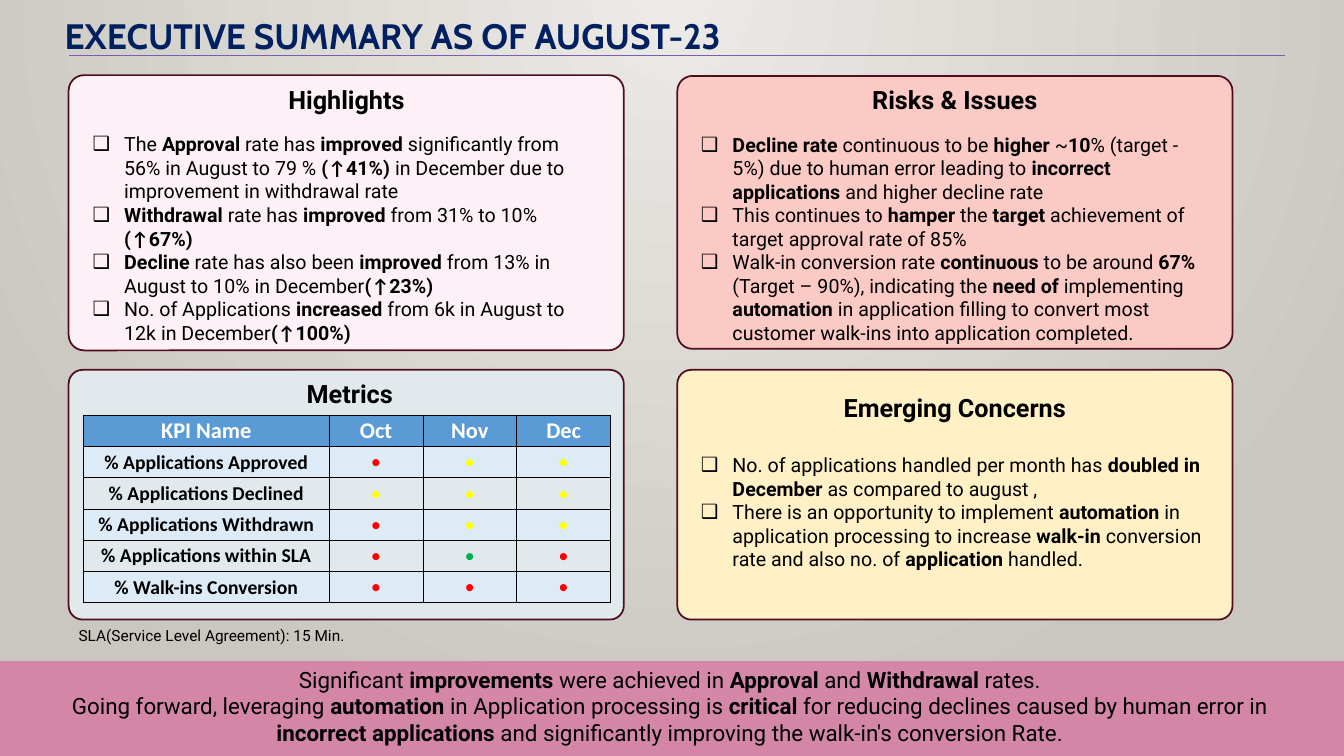
from dataclasses import dataclass

from lxml import etree
from pptx import Presentation
from pptx.dml.color import RGBColor
from pptx.enum.shapes import MSO_CONNECTOR, MSO_SHAPE
from pptx.enum.text import MSO_ANCHOR, MSO_AUTO_SIZE, PP_ALIGN
from pptx.oxml.ns import qn
from pptx.util import Pt

ROUND, RECT = MSO_SHAPE.ROUNDED_RECTANGLE, MSO_SHAPE.RECTANGLE
LINE = MSO_CONNECTOR.STRAIGHT
LEFT, MID = PP_ALIGN.LEFT, PP_ALIGN.CENTER
TOP, CENTER = MSO_ANCHOR.TOP, MSO_ANCHOR.MIDDLE
FIXED = MSO_AUTO_SIZE.NONE


@dataclass
class Theme:
    glow: str = "ECEAE7"
    shade: str = "CAC7C1"
    navy: str = "002060"
    ink: str = "000000"
    white: str = "FFFFFF"
    rule: str = "795FAF"
    edge: str = "500D1D"
    rose: str = "FDF1F7"
    coral: str = "FBCAC5"
    cream: str = "FFF1C5"
    mist: str = "E1E9EC"
    pink: str = "DE478E"
    blue: str = "5B9BD5"
    band: str = "DDEBF7"
    red: str = "FF0000"
    yellow: str = "FFFF00"
    green: str = "00B050"
    title: float = 25.2
    head: int = 18
    text: int = 14
    large: int = 16
    small: int = 11
    title_font: str = "Cabin"
    font: str = "Roboto"
    grid_font: str = "Calibri"


class Board:
    def __init__(self, slide, theme):
        self.slide, self.theme = slide, theme

    def style(self, run, size, bold=False, color=None, font=None):
        run.font.size, run.font.bold = Pt(size), bold
        run.font.name = font or self.theme.font
        run.font.color.rgb = RGBColor.from_string(color or self.theme.ink)

    def backdrop(self):
        fill = self.slide.background.fill
        fill.gradient()
        for stop, color in zip(fill.gradient_stops, (self.theme.glow, self.theme.shade)):
            stop.color.rgb = RGBColor.from_string(color)
        lin = self.slide.element.find(".//" + qn("a:lin"))
        ring = etree.Element(qn("a:path"), path="circle")
        etree.SubElement(ring, qn("a:fillToRect"), l="43000", t="0", r="43000", b="100000")
        lin.getparent().replace(lin, ring)

    def shape(self, kind, box, color, edge=None, alpha=None):
        item = self.slide.shapes.add_shape(kind, *map(Pt, box))
        item.shadow.inherit = False
        item.fill.solid()
        item.fill.fore_color.rgb = RGBColor.from_string(color)
        if kind == ROUND:
            item.adjustments[0] = 0.056
        if edge:
            item.line.color.rgb = RGBColor.from_string(edge)
            item.line.width = Pt(1.25)
        else:
            item.line.fill.background()
        if alpha:
            tone = item.element.spPr.find(".//" + qn("a:srgbClr"))
            etree.SubElement(tone, qn("a:alpha"), val=str(alpha * 1000))

    def rule(self, left, right, top):
        line = self.slide.shapes.add_connector(LINE, Pt(left), Pt(top), Pt(right), Pt(top))
        line.line.color.rgb = RGBColor.from_string(self.theme.rule)
        line.line.width = Pt(0.75)
        etree.SubElement(line.element.spPr, qn("a:effectLst"))

    def place(self, index, box, anchor=TOP):
        """Move a placeholder into its box, in front of the panels."""
        item = self.slide.placeholders[index]
        item.left, item.top, item.width, item.height = map(Pt, box)
        item.element.getparent().append(item.element)
        frame = item.text_frame
        frame.word_wrap, frame.auto_size, frame.vertical_anchor = True, FIXED, anchor
        return frame

    def title(self, text, box):
        frame = self.place(0, box, CENTER)
        frame.text = text
        frame.paragraphs[0].alignment = LEFT
        self.style(frame.paragraphs[0].runs[0], self.theme.title, True,
                   self.theme.navy, self.theme.title_font)

    def label(self, text, box, size, bold=False):
        frame = self.slide.shapes.add_textbox(*map(Pt, box)).text_frame
        frame.word_wrap = True
        frame.text = text
        self.style(frame.paragraphs[0].runs[0], size, bold)

    def para(self, para, text, size, mark=None, gap=0):
        """Write a paragraph; stars enclose bold words."""
        para.alignment = LEFT if mark else MID
        para.space_before, para.space_after = Pt(0), Pt(gap)
        props = para._p.get_or_add_pPr()
        inset = Pt(22.5) if mark else 0
        props.set("marL", str(inset))
        props.set("indent", str(-inset))
        if mark:
            etree.SubElement(props, qn("a:buChar"), char=mark)
        else:
            etree.SubElement(props, qn("a:buNone"))
        for i, part in enumerate(text.split("*")):
            for piece in part.replace("↑", "|↑|").split("|"):
                if piece:
                    run = para.add_run()
                    run.text = piece
                    font = self.theme.grid_font if piece == "↑" else None
                    self.style(run, size, i % 2 == 1, font=font)

    def body(self, index, box, lines, head=None, gap=0):
        frame = self.place(index, box)
        size = self.theme.text if head else self.theme.large
        rows = [(line, size, "❑" if head else None) for line in lines]
        if head:
            self.para(frame.paragraphs[0], f"*{head}*", self.theme.head, gap=gap)
        for i, row in enumerate(rows):
            first = i == 0 and not head
            self.para(frame.paragraphs[0] if first else frame.add_paragraph(), *row)

    def cell(self, cell, text, size, bold, color, fill):
        cell.margin_left = cell.margin_right = cell.margin_top = Pt(0.7)
        cell.margin_bottom = 0
        cell.vertical_anchor = CENTER
        cell.text = text
        para = cell.text_frame.paragraphs[0]
        para.alignment = MID
        self.style(para.runs[0], size, bold, color, self.theme.grid_font)
        props = cell._tc.get_or_add_tcPr()
        for side in ("a:lnL", "a:lnR", "a:lnT", "a:lnB"):
            line = etree.SubElement(props, qn(side), w=str(Pt(0.5)))
            paint = etree.SubElement(line, qn("a:solidFill"))
            etree.SubElement(paint, qn("a:srgbClr"), val=self.theme.ink)
        if fill:
            cell.fill.solid()
            cell.fill.fore_color.rgb = RGBColor.from_string(fill)
        else:
            cell.fill.background()

    def grid(self, box, widths, heads, rows):
        theme = self.theme
        grid = self.slide.shapes.add_table(len(rows) + 1, len(heads), *map(Pt, box)).table
        for col, width in zip(grid.columns, widths):
            col.width = Pt(width)
        for row in grid.rows:
            row.height = Pt(box[3] / (len(rows) + 1))
        for c, head in enumerate(heads):
            self.cell(grid.cell(0, c), head, theme.large, True, theme.white, theme.blue)
        tones = {"R": theme.red, "Y": theme.yellow, "G": theme.green}
        for r, (name, marks) in enumerate(rows, 1):
            fill = theme.band if r % 2 else None
            self.cell(grid.cell(r, 0), name, theme.text, True, theme.ink, fill)
            for c, mark in enumerate(marks, 1):
                self.cell(grid.cell(r, c), "●", theme.small, False, tones[mark], fill)


HIGHLIGHTS = [
    "The *Approval* rate has *improved* significantly from 56% in August to 79 % "
    "*(↑41%)* in December due to improvement in withdrawal rate",
    "*Withdrawal* rate has* improved* from 31% to 10% *(↑67%)*",
    "*Decline* rate has also been *improved* from 13% in August to 10% in December*(↑23%)*",
    "No. of Applications *increased* from 6k in August to 12k in December*(↑100%)*",
]
RISKS = [
    "*Decline rate* continuous to be *higher* ~*10*% (target - 5%) due to human error "
    "leading to *incorrect applications* and higher decline rate",
    "This continues to *hamper* the *target* achievement of target approval rate of 85%",
    "Walk-in conversion rate *continuous* to be around *67%* (Target – 90%), indicating "
    "the *need of* implementing *automation* in application filling to convert most "
    "customer walk-ins into application completed.",
]
CONCERNS = [
    "No. of applications handled per month has *doubled in December *as compared to august ,",
    "There is an opportunity to implement *automation* in application processing to "
    "increase *walk-in* conversion rate and also no. of *application* handled.",
]
CLOSING = [
    "Significant *improvements* were achieved in *Approval* and *Withdrawal* rates.",
    "Going forward, leveraging *automation* in Application processing is *critical* for "
    "reducing declines caused by human error in *incorrect applications* and "
    "significantly improving the walk-in's conversion Rate.",
]
METRICS = [
    ("% Applications Approved", "RYY"),
    ("% Applications Declined", "YYY"),
    ("% Applications Withdrawn", "RYY"),
    ("% Applications within SLA", "RGR"),
    ("% Walk-ins Conversion", "RRR"),
]


def main():
    deck = Presentation()
    deck.slide_width, deck.slide_height = Pt(960), Pt(540)
    theme = Theme()
    board = Board(deck.slides.add_slide(deck.slide_layouts[4]), theme)

    # Backdrop and title
    board.backdrop()
    board.title("EXECUTIVE SUMMARY AS OF AUGUST-23", (39, 1.5, 921, 47))
    board.rule(49, 918, 39.5)

    # Panels
    for left, top, height, color in (
            (49, 53.7, 196.6, theme.rose), (483.8, 54.2, 195, theme.coral),
            (49, 264.2, 178.4, theme.mist), (483.8, 264.2, 178.4, theme.cream)):
        board.shape(ROUND, (left, top, 396.6, height), color, theme.edge)

    # Lists
    board.body(1, (59, 56.3, 377, 194), HIGHLIGHTS, "Highlights", 13)
    board.body(2, (493.5, 56.9, 377, 195), RISKS, "Risks & Issues", 12.5)
    board.body(3, (493.5, 276.5, 377, 135), CONCERNS, "Emerging Concerns", 22)

    # Metrics
    board.label("Metrics", (212, 266.4, 152, 29), theme.head, True)
    board.grid((59.6, 296.6, 376.5, 134), (175.5, 67, 67, 67),
               ("KPI Name", "Oct", "Nov", "Dec"), METRICS)
    board.label("SLA(Service Level Agreement): 15 Min.", (49, 443.6, 207, 21), theme.small)

    # Closing banner
    board.shape(RECT, (0, 472.2, 960, 67.8), theme.pink, alpha=50)
    board.body(4, (14.4, 471.9, 928, 65.5), CLOSING)

    deck.save("out.pptx")


if __name__ == "__main__":
    main()
